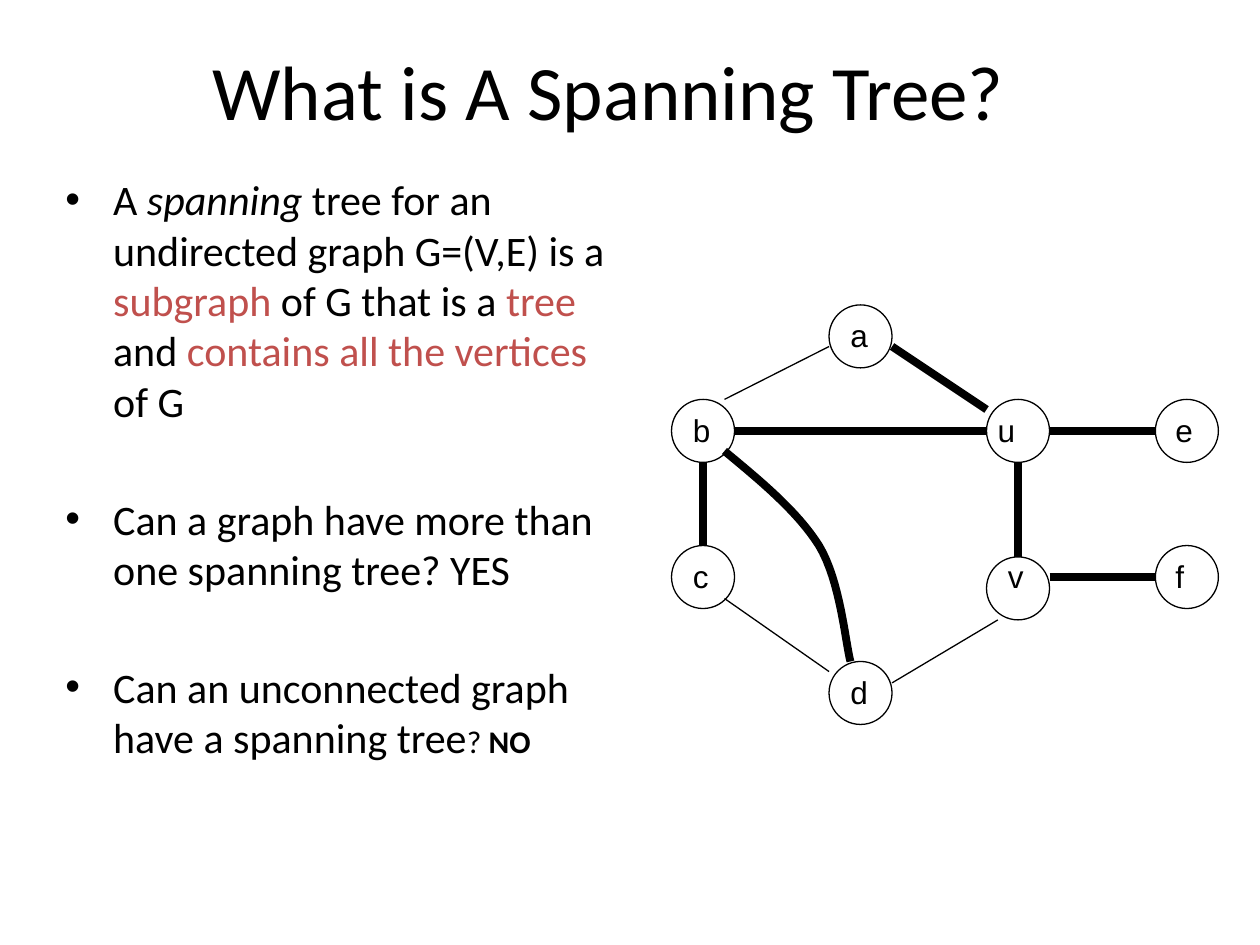
from lxml import etree
from pptx import Presentation
from pptx.dml.color import RGBColor
from pptx.enum.shapes import MSO_CONNECTOR, MSO_SHAPE
from pptx.enum.text import MSO_ANCHOR, PP_ALIGN
from pptx.oxml.ns import qn
from pptx.util import Inches, Pt

COLORS = {"ink": "000000", "accent": "C0504D"}

prs = Presentation()
prs.slide_width, prs.slide_height = Inches(10), Inches(7.5)
s = prs.slides.add_slide(prs.slide_layouts[6])


def add_text(box, paragraphs, font="Calibri", size=24, wrap=True):
    """Add a text box; each paragraph is a list of (text, format) runs."""
    tf = s.shapes.add_textbox(*map(Inches, box)).text_frame
    tf.word_wrap = wrap
    for i, runs in enumerate(paragraphs):
        p = tf.paragraphs[0] if i == 0 else tf.add_paragraph()
        for text, fmt in runs:
            r = p.add_run()
            r.text = text
            values = {"name": font, "size": Pt(size), **fmt}
            color = values.pop("color", "ink")
            for key, value in values.items():
                setattr(r.font, key, value)
            r.font.color.rgb = RGBColor.from_string(COLORS[color])
    return tf


def style_line(shape, width):
    shape.line.color.rgb = RGBColor.from_string(COLORS["ink"])
    shape.line.width = Pt(width)


# Title
tf = add_text((0.58, 0.25, 8.5, 0.92), [[("What is A Spanning Tree?", {})]], size=44)
tf.vertical_anchor = MSO_ANCHOR.MIDDLE
tf.paragraphs[0].alignment = PP_ALIGN.CENTER

# Bulleted definition and questions
accent = {"color": "accent"}
tf = add_text((0.42, 1.33, 4.67, 5.33), [
    [("A ", {}), ("spanning", {"italic": True}),
     (" tree for an undirected graph G=(V,E) is a ", {}), ("subgraph", accent),
     (" of G that is a ", {}), ("tree", accent), (" and ", {}),
     ("contains all the vertices", accent), (" of G", {})],
    [("Can a graph have more than one spanning tree? YES", {})],
    [("Can an unconnected graph have a spanning tree", {}),
     ("? ", {"size": Pt(18)}), ("NO", {"size": Pt(18), "bold": True})],
])
for i, p in enumerate(tf.paragraphs):
    p.space_before = Pt(38.5 if i else 0)
    pPr = p._p.get_or_add_pPr()
    pPr.set("marL", str(Inches(0.38)))
    pPr.set("indent", str(-Inches(0.38)))
    etree.SubElement(pPr, qn("a:buFont")).set("typeface", "Arial")
    etree.SubElement(pPr, qn("a:buChar")).set("char", "•")

# Graph vertices: left, top, and label offset from the circle
D = 0.5
vertices = {
    "b": (5.33, 3.17, 0.07, 0.04),
    "c": (5.33, 4.33, 0.07, 0.04),
    "a": (6.58, 2.42, 0.07, 0.04),
    "u": (7.83, 3.17, -0.01, 0.04),
    "d": (6.58, 5.25, 0.07, 0.04),
    "v": (7.83, 4.42, 0.07, -0.05),
    "e": (9.17, 3.17, 0.06, 0.04),
    "f": (9.17, 4.33, 0.06, 0.04),
}
for x, y, dx, dy in vertices.values():
    sp = s.shapes.add_shape(MSO_SHAPE.OVAL, *map(Inches, (x, y, D, D)))
    sp.shadow.inherit = False
    sp.fill.background()
    style_line(sp, 0.75)

# Straight edges: thick ones belong to the spanning tree
THIN, THICK = 0.75, 4.5
edges = [
    (5.58, 3.67, 5.58, 4.33, THICK),  # b-c
    (5.75, 3.17, 6.58, 2.75, THIN),   # b-a
    (5.75, 4.75, 6.58, 5.33, THIN),   # c-d
    (7.08, 5.42, 7.92, 4.92, THIN),   # d-v
    (7.08, 2.75, 7.83, 3.25, THICK),  # a-u
    (8.08, 3.67, 8.08, 4.42, THICK),  # u-v
    (5.83, 3.42, 7.83, 3.42, THICK),  # b-u
    (8.33, 3.42, 9.17, 3.42, THICK),  # u-e
    (8.33, 4.58, 9.17, 4.58, THICK),  # v-f
]
for *ends, width in edges:
    cxn = s.shapes.add_connector(MSO_CONNECTOR.STRAIGHT, *map(Inches, ends))
    style_line(cxn, width)
    etree.SubElement(cxn._element.spPr, qn("a:effectLst"))

# Curved tree edge b-d, traced along two Bezier segments
STEPS = 16
curves = [
    [(5.75, 3.58), (6.04, 3.82), (6.33, 4.06), (6.5, 4.33)],
    [(6.5, 4.33), (6.67, 4.61), (6.71, 5.1), (6.75, 5.25)],
]
points = []
for curve in curves:
    for i in range(1, STEPS + 1):
        t = i / STEPS
        weights = ((1 - t) ** 3, 3 * t * (1 - t) ** 2, 3 * t ** 2 * (1 - t), t ** 3)
        points.append([Inches(sum(w * c for w, c in zip(weights, axis)))
                       for axis in zip(*curve)])
builder = s.shapes.build_freeform(*map(Inches, curves[0][0]))
builder.add_line_segments(points, close=False)
sp = builder.convert_to_shape()
sp.shadow.inherit = False
sp.fill.background()
style_line(sp, THICK)

# Vertex labels
for name, (x, y, dx, dy) in vertices.items():
    add_text((x + dx, y + dy, 0.34, 0.4), [[(name, {})]], font="Arial", size=18, wrap=False)

prs.save("out.pptx")
